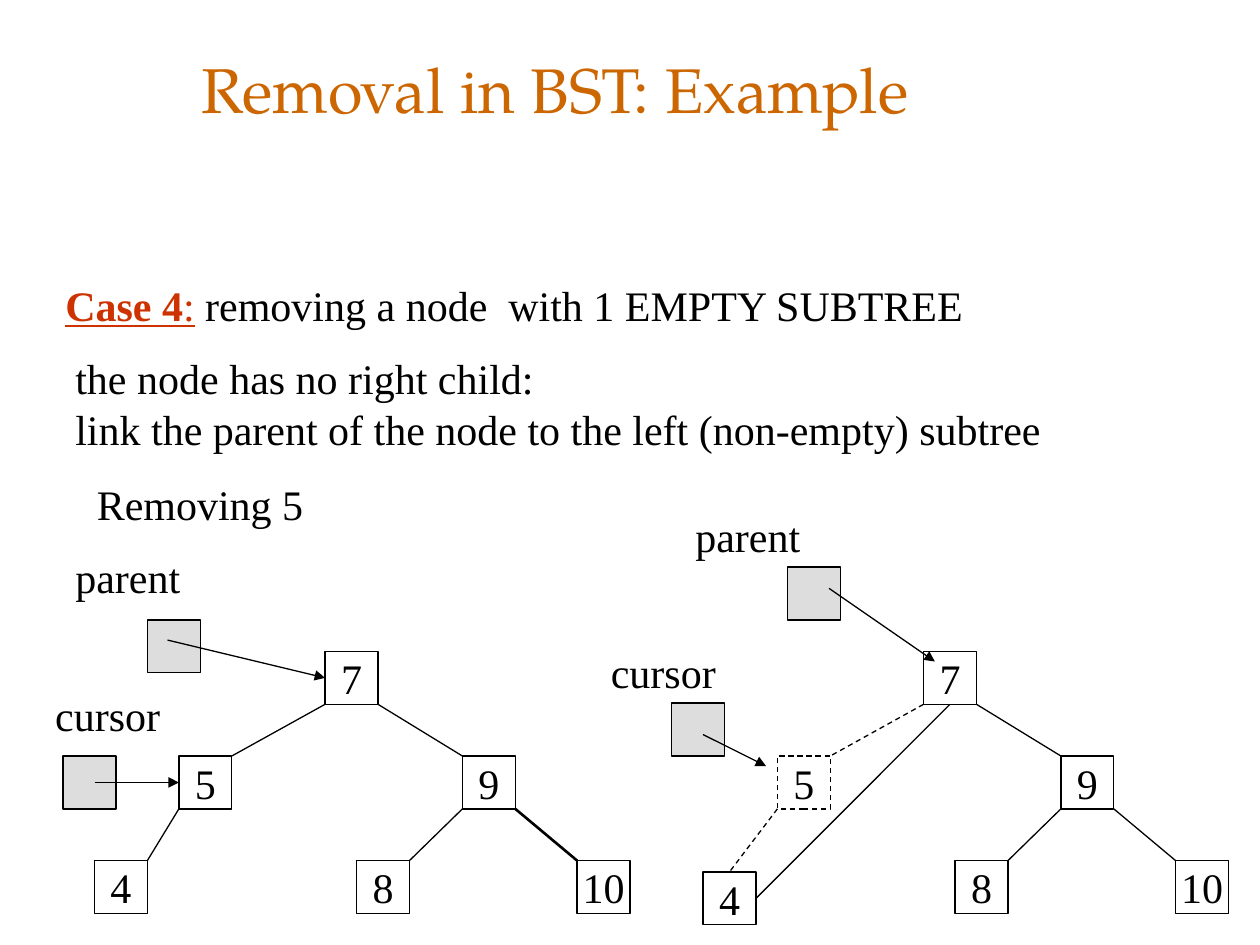
import pptx
import pptx.util
import pptx.dml.color
import pptx.enum.dml
import pptx.enum.shapes
import pptx.enum.text
import pptx.oxml.ns
import lxml.etree

Inches = pptx.util.Inches
Pt = pptx.util.Pt
RGB = pptx.dml.color.RGBColor.from_string
ALIGN = pptx.enum.text.PP_ALIGN
ANCHOR = pptx.enum.text.MSO_ANCHOR
FIT = pptx.enum.text.MSO_AUTO_SIZE
DASH = pptx.enum.dml.MSO_LINE.DASH
RECT = pptx.enum.shapes.MSO_SHAPE.RECTANGLE
STRAIGHT = pptx.enum.shapes.MSO_CONNECTOR.STRAIGHT
COLORS = {"ink": "000000", "title": "CC6600", "case": "CC3300", "pointer": "DDDDDD"}
SIDE = 0.42
SHIFT = 4.75

deck = pptx.Presentation()
deck.slide_width = Inches(10)
deck.slide_height = Inches(7.5)
slide = deck.slides.add_slide(deck.slide_layouts[5])
shapes = slide.shapes


def write(par, text, size=24, font="Times New Roman", color="ink",
          bold=False, under=False, align=ALIGN.LEFT):
    par.alignment = align
    run = par.add_run()
    run.text = text
    run.font.size = Pt(size)
    run.font.name = font
    run.font.bold = bold
    run.font.underline = under
    run.font.color.rgb = RGB(COLORS[color])


def link(start, end, width=0.75, dash=False, arrow=False):
    line = shapes.add_connector(STRAIGHT, *map(Inches, start + end))
    line.line.color.rgb = RGB(COLORS["ink"])
    line.line.width = Pt(width)
    if dash:
        line.line.dash_style = DASH
    qn = pptx.oxml.ns.qn
    if arrow:
        outline = line._element.spPr.find(qn("a:ln"))
        lxml.etree.SubElement(outline, qn("a:tailEnd"), type="triangle")
    lxml.etree.SubElement(line._element.spPr, qn("a:effectLst"))
    return line


title = shapes.title
title.left, title.top, title.width, title.height = map(Inches, (1.5, 0.08, 8.5, 1.25))
title.text_frame.auto_size = FIT.NONE
title.text_frame.word_wrap = True
title.text_frame.vertical_anchor = ANCHOR.MIDDLE
write(title.text_frame.paragraphs[0], "Removal in BST: Example",
      size=36, font="TeX Gyre Pagella", color="title")

case = {"color": "case", "under": True}
labels = [
    (0.42, 2.17, 7.5, 0.5, [[
        ("Case", {**case, "bold": True}), (" ", case), ("4", {**case, "bold": True}),
        (":", case), (" removing a node  with 1 EMPTY SUBTREE", {})]]),
    (0.5, 2.75, 8, 0.9, [
        [("the node has no right child:", {})],
        [("link the parent of the node to the left (non-empty) subtree", {})]]),
    (0.67, 3.75, 2, 0.5, [[("Removing 5", {})]]),
    (0.5, 4.33, 1.2, 0.5, [[("parent", {})]]),
    (5.42, 4, 1.2, 0.5, [[("parent", {})]]),
    (0.34, 5.42, 1.2, 0.5, [[("cursor", {})]]),
    (4.75, 5.08, 1.2, 0.5, [[("cursor", {})]]),
]
for x, y, w, h, lines in labels:
    frame = shapes.add_textbox(*map(Inches, (x, y, w, h))).text_frame
    frame.word_wrap = True
    frame.auto_size = FIT.SHAPE_TO_FIT_TEXT
    for i, runs in enumerate(lines):
        par = frame.add_paragraph() if i else frame.paragraphs[0]
        for text, style in runs:
            write(par, text, **style)

base = {"7": (2.58, 5.17), "5": (1.42, 6), "9": (3.67, 6),
        "8": (2.83, 6.83), "10": (4.58, 6.83)}
before = {**base, "4": (0.75, 6.83)}
after = {key: (x + SHIFT, y) for key, (x, y) in base.items()}
after["4"] = (5.58, 6.92)
edges = [("7", "5"), ("7", "9"), ("9", "8"), ("9", "10"), ("5", "4")]
trees = []
for spots, gone in ((before, None), (after, "5")):
    nodes = {}
    for key, (x, y) in spots.items():
        node = shapes.add_shape(RECT, *map(Inches, (x, y, SIDE, SIDE)))
        node.shadow.inherit = False
        node.fill.background()
        node.line.color.rgb = RGB(COLORS["ink"])
        node.line.width = Pt(0.75)
        if key == gone:
            node.line.dash_style = DASH
        node.text_frame.word_wrap = False
        node.text_frame.vertical_anchor = ANCHOR.MIDDLE
        write(node.text_frame.paragraphs[0], key, align=ALIGN.CENTER)
        nodes[key] = node
    trees.append(nodes)
    for top, low in edges:
        (px, py), (cx, cy) = spots[top], spots[low]
        right = cx > px
        start = (px + SIDE * right, py + SIDE)
        end = (cx + SIDE * (not right), cy)
        thick = gone is None and low == "10"
        edge = link(start, end, width=1.5 if thick else 0.75,
                    dash=gone in (top, low))
        if gone == top:
            edge.end_connect(nodes[low], 0)

old, new = trees
bypass = link((7.54, 5.59), (6, 7.13))
bypass.begin_connect(new["7"], 2)
bypass.end_connect(new["4"], 3)

pointers = [
    (1.17, 4.92, (1.33, 5.08), (2.58, 5.38), old["7"]),
    (0.5, 6, (0.75, 6.21), (1.42, 6.21), old["5"]),
    (6.25, 4.5, (6.58, 4.67), (7.42, 5.25), None),
    (5.33, 5.58, (5.58, 5.83), (6.08, 6.08), None),
]
for x, y, start, end, goal in pointers:
    box = shapes.add_shape(RECT, *map(Inches, (x, y, SIDE, SIDE)))
    box.shadow.inherit = False
    box.fill.solid()
    box.fill.fore_color.rgb = RGB(COLORS["pointer"])
    box.line.color.rgb = RGB(COLORS["ink"])
    box.line.width = Pt(0.75)
    arrow = link(start, end, arrow=True)
    if goal is not None:
        arrow.end_connect(goal, 1)

deck.save("out.pptx")
